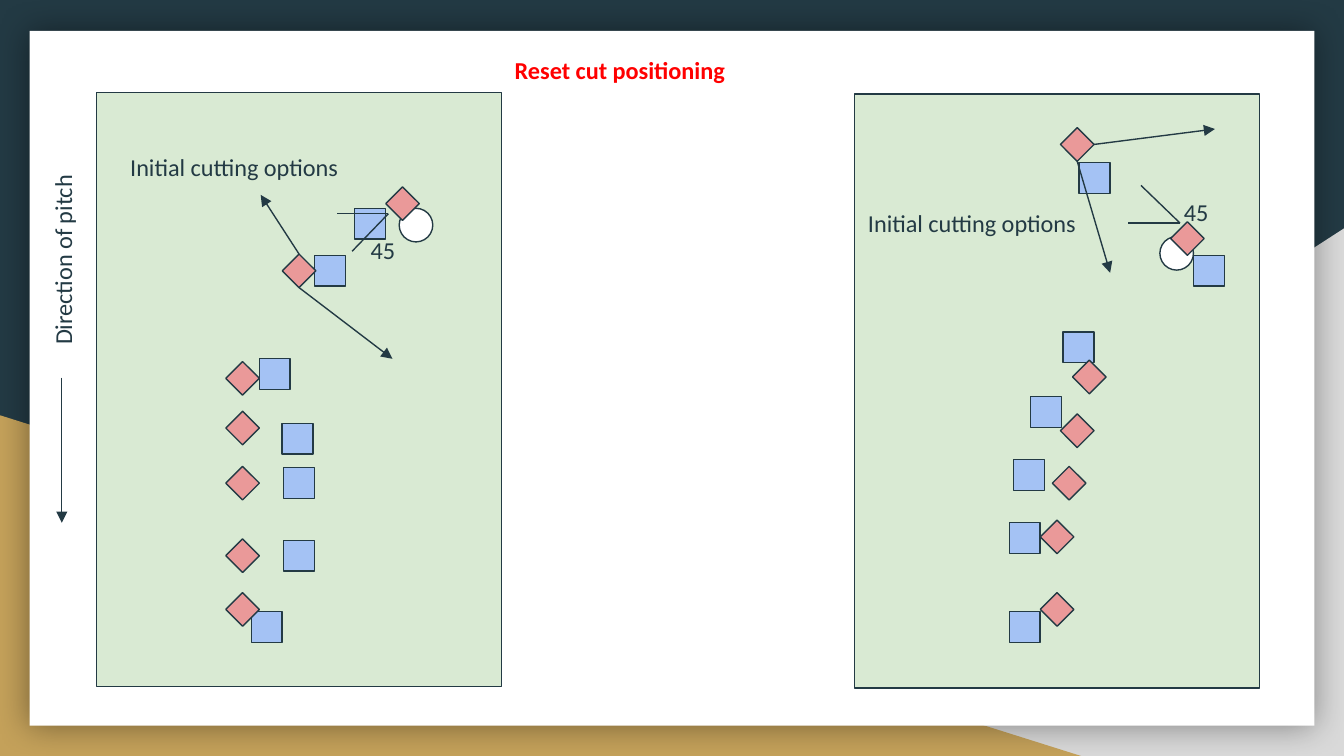
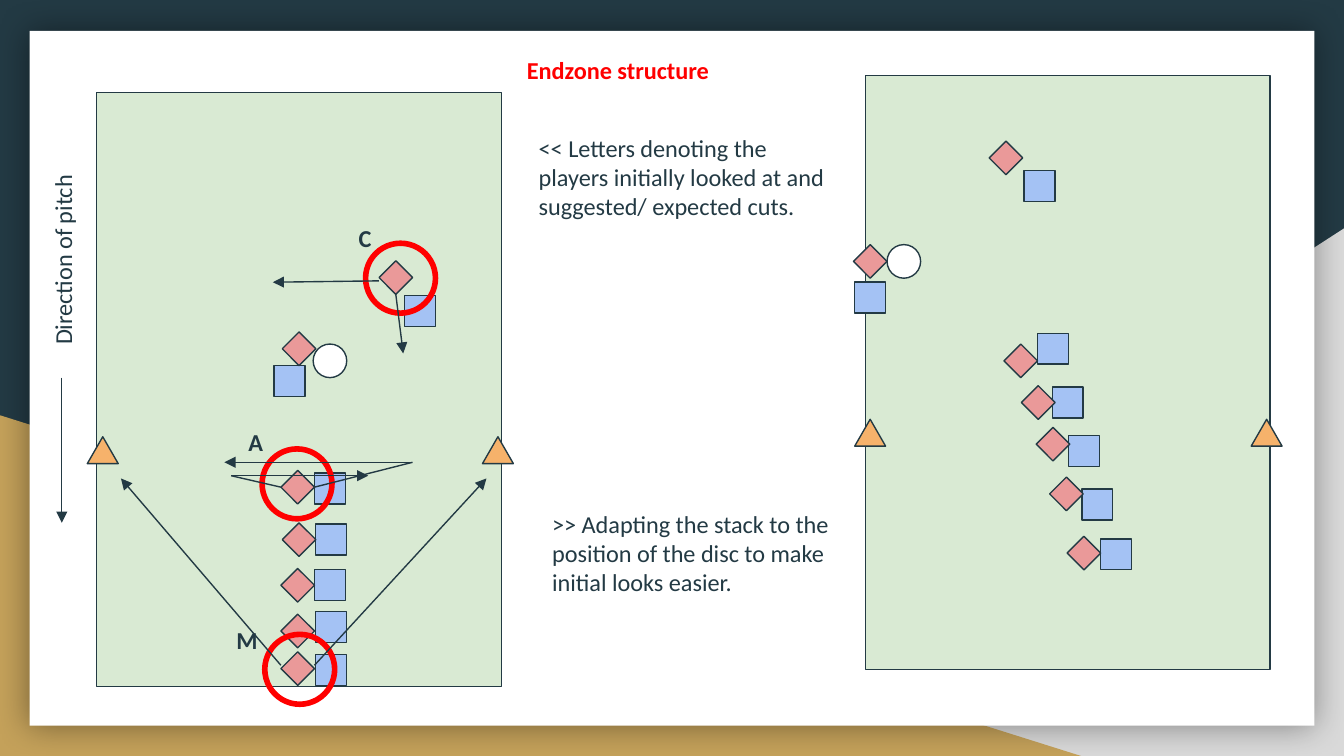
from lxml import etree
from pptx import Presentation
from pptx.dml.color import RGBColor
from pptx.enum.shapes import MSO_CONNECTOR, MSO_SHAPE
from pptx.enum.text import MSO_ANCHOR, MSO_AUTO_SIZE, PP_ALIGN
from pptx.oxml.ns import qn
from pptx.util import Emu, Pt

PX = 9144  # 100 px to the inch
SLIDE_WIDTH = Emu(1000 * PX)
SLIDE_HEIGHT = Emu(SLIDE_WIDTH * 9 // 16)
TITLE_ONLY = 5
TOP, LEFT, BOTTOM, RIGHT = range(4)

RECTANGLE = MSO_SHAPE.RECTANGLE
RIGHT_TRIANGLE = MSO_SHAPE.RIGHT_TRIANGLE
TRIANGLE = MSO_SHAPE.ISOSCELES_TRIANGLE
DIAMOND = MSO_SHAPE.DIAMOND
OVAL = MSO_SHAPE.OVAL
STRAIGHT = MSO_CONNECTOR.STRAIGHT

NAVY = RGBColor(0x23, 0x3A, 0x44)
GRAY = RGBColor(0xD9, 0xD9, 0xD9)
GOLD = RGBColor(0xC4, 0xA1, 0x5A)
WHITE = RGBColor(0xFF, 0xFF, 0xFF)
BLACK = RGBColor(0x00, 0x00, 0x00)
GREEN = RGBColor(0xD9, 0xEA, 0xD3)
PINK = RGBColor(0xEA, 0x99, 0x99)
BLUE = RGBColor(0xA4, 0xC2, 0xF4)
ORANGE = RGBColor(0xF6, 0xB2, 0x6B)
RED = RGBColor(0xFF, 0x00, 0x00)

PITCH_SIZE = (301, 442)
ATTACKER_SIZE = DISC_SIZE = (25, 25)
DEFENDER_SIZE = (23, 23)
CONE_SIZE = (23, 20)
RING_SIZE = (52, 52)
LETTER_SIZE = (29, 42)
ANGLE_SIZE = (39, 42)
OPTIONS_SIZE = (179, 42)
NOTE_SIZE = (235, 86)
TITLE_SIZE = (245, 42)

MARGIN = Emu(10 * PX)
FRAME_FORMAT = {
    "margin_left": MARGIN,
    "margin_right": MARGIN,
    "margin_top": MARGIN,
    "margin_bottom": MARGIN,
    "word_wrap": True,
    "auto_size": MSO_AUTO_SIZE.SHAPE_TO_FIT_TEXT,
    "vertical_anchor": MSO_ANCHOR.TOP,
}
FONT_FORMAT = {"name": "Calibri", "size": Pt(13)}
TITLE_FORMAT = {
    "alignment": PP_ALIGN.LEFT,
    "line_spacing": 1.15,
    "space_before": Pt(0),
    "space_after": Pt(12),
}


def to_emu(lengths):
    return [Emu(length * PX) for length in lengths]


def apply_format(target, values):
    for name, value in values.items():
        setattr(target, name, value)


def add_shape(slide, kind, position, size, fill=None, line=None, weight=0.75):
    shape = slide.shapes.add_shape(kind, *to_emu(position + size))
    shape.shadow.inherit = False
    if fill is None:
        shape.fill.background()
    else:
        shape.fill.solid()
        shape.fill.fore_color.rgb = fill
    if line is None:
        shape.line.fill.background()
    else:
        shape.line.color.rgb = line
        shape.line.width = Pt(weight)
    return shape


def add_line(slide, start, end, arrow=True):
    connector = slide.shapes.add_connector(STRAIGHT, *to_emu(start + end))
    connector.line.color.rgb = NAVY
    connector.line.width = Pt(0.75)
    if arrow:
        etree.SubElement(connector.get_or_add_ln(), qn("a:tailEnd"), type="triangle")
    etree.SubElement(connector._element.spPr, qn("a:effectLst"))
    return connector


def write_text(shape, text, color=NAVY, bold=False):
    frame = shape.text_frame
    apply_format(frame, FRAME_FORMAT)
    paragraph = frame.paragraphs[0]
    run = paragraph.add_run()
    run.text = text
    apply_format(run.font, FONT_FORMAT)
    run.font.bold = bold
    run.font.color.rgb = color
    return paragraph


def add_label(slide, text, position, size, bold=False, rotation=0):
    label = slide.shapes.add_textbox(*to_emu(position + size))
    label.rotation = rotation
    write_text(label, text, bold=bold)


def set_title(slide, text, left):
    title = slide.shapes.title
    title.left, title.top, title.width, title.height = to_emu((left, 28) + TITLE_SIZE)
    apply_format(write_text(title, text, RED, bold=True), TITLE_FORMAT)


def add_soft_shadow(shape):
    effects = shape._element.spPr.find(qn("a:effectLst"))
    shadow = etree.SubElement(effects, qn("a:outerShdw"), blurRad=str(Pt(18)),
                              dist="0", dir="0", algn="ctr", rotWithShape="0")
    color = etree.SubElement(shadow, qn("a:srgbClr"), val=str(BLACK))
    etree.SubElement(color, qn("a:alpha"), val="40000")


def build_backdrop(slide):
    """Draw the shared backdrop and move it into the layout of the slide."""
    layout = slide.slide_layout
    layout.background.fill.solid()
    layout.background.fill.fore_color.rgb = NAVY
    gray_corner = add_shape(slide, RIGHT_TRIANGLE, (392, 170), (608, 393), GRAY)
    gray_corner._element.spPr.xfrm.set("flipH", "1")
    gold_corner = add_shape(slide, RIGHT_TRIANGLE, (0, 309), (806, 254), GOLD)
    card = add_shape(slide, RECTANGLE, (22, 23), (956, 517), WHITE)
    add_soft_shadow(card)
    for index, shape in enumerate((gray_corner, gold_corner, card)):
        shape._element.nvSpPr.cNvPr.set("id", str(20 + index))
        layout.shapes._spTree.insert(2 + index, shape._element)


def add_direction(slide):
    add_label(slide, "Direction of pitch", (-31, 168), (155, 42), rotation=270)
    add_line(slide, (46, 281), (46, 389))


def add_pitch(slide, position, disc, defenders, attackers):
    """Draw a pitch with its disc and players, and return the attackers."""
    add_shape(slide, RECTANGLE, position, PITCH_SIZE, GREEN, NAVY)
    add_shape(slide, OVAL, disc, DISC_SIZE, WHITE, NAVY)
    for defender in defenders:
        add_shape(slide, RECTANGLE, defender, DEFENDER_SIZE, BLUE, NAVY)
    return [add_shape(slide, DIAMOND, attacker, ATTACKER_SIZE, PINK, NAVY)
            for attacker in attackers]


def add_cones(slide, top, *lefts):
    for left in lefts:
        add_shape(slide, TRIANGLE, (left, top), CONE_SIZE, ORANGE, NAVY)


def add_marked_player(slide, letter, letter_position, ring_position):
    add_shape(slide, OVAL, ring_position, RING_SIZE, line=RED, weight=3)
    add_label(slide, letter, letter_position, LETTER_SIZE, bold=True)


def add_cutting_options(slide, label_position, cutter, options):
    """Label the cuts; each option is the side it leaves from, start and end."""
    add_label(slide, "Initial cutting options", label_position, OPTIONS_SIZE)
    for side, start, end in options:
        add_line(slide, start, end).begin_connect(cutter, side)


def add_angle(slide, label_position, corner, *ends):
    for end in ends:
        add_line(slide, corner, end, arrow=False)
    add_label(slide, "45", label_position, ANGLE_SIZE)


def build_reset_slide(slide):
    set_title(slide, "Reset cut positioning", 373)
    add_direction(slide)

    attackers = add_pitch(
        slide, (72, 69), disc=(297, 155),
        defenders=[(264, 155), (234, 190), (193, 267), (210, 315),
                   (211, 348), (211, 402), (187, 455)],
        attackers=[(287, 139), (210, 189)]
        + [(168, top) for top in (269, 306, 347, 401, 441)])
    add_cutting_options(slide, (87, 103), attackers[1],
                        [(BOTTOM, (223, 214), (292, 267)),
                         (TOP, (223, 189), (194, 145))])
    add_angle(slide, (266, 165), (289, 159), (251, 159), (262, 187))

    attackers = add_pitch(
        slide, (636, 70), disc=(863, 176),
        defenders=[(888, 190), (803, 121), (791, 247), (767, 295),
                   (754, 342), (751, 389), (751, 455)],
        attackers=[(871, 165), (789, 95), (798, 268), (789, 308),
                   (783, 347), (774, 387), (774, 441)])
    add_cutting_options(slide, (636, 145), attackers[1],
                        [(BOTTOM, (802, 121), (826, 203)),
                         (RIGHT, (815, 108), (904, 96))])
    add_angle(slide, (871, 137), (878, 166), (839, 166), (849, 138))


def build_endzone_slide(slide):
    set_title(slide, "Endzone structure", 382)
    add_direction(slide)

    attackers = add_pitch(
        slide, (72, 69), disc=(233, 256),
        defenders=[(204, 272), (301, 220), (234, 352), (235, 390),
                   (234, 424), (235, 455), (235, 487)],
        attackers=[(210, 247), (282, 194), (209, 350), (210, 389),
                   (209, 423), (209, 457), (209, 485)])
    _, cutter_c, cutter_a, *_ = attackers
    add_cones(slide, 325, 65, 359)
    add_marked_player(slide, "C", (257, 156), (272, 181))
    add_marked_player(slide, "A", (175, 308), (195, 334))
    add_marked_player(slide, "M", (166, 455), (197, 472))

    for start, end in [((234, 495), (362, 356)), ((209, 495), (90, 356)),
                       ((306, 344), (167, 344)), ((172, 354), (274, 354)),
                       ((282, 209), (203, 210))]:
        add_line(slide, start, end)
    add_line(slide, (294, 220), (300, 263)).begin_connect(cutter_c, BOTTOM)
    for side, start, end in [(RIGHT, (234, 362), (307, 344)),
                             (LEFT, (209, 364), (172, 354))]:
        add_line(slide, start, end, arrow=False).begin_connect(cutter_a, side)

    add_pitch(
        slide, (644, 56), disc=(660, 182),
        defenders=[(636, 210), (762, 127), (772, 248), (783, 288),
                   (795, 324), (805, 364), (819, 401)],
        attackers=[(635, 182), (736, 105), (747, 256), (760, 287),
                   (771, 318), (781, 355), (794, 399)])
    add_cones(slide, 312, 636, 931)

    add_label(slide, "<< Letters denoting the players initially looked at and "
              "suggested/ expected cuts.", (391, 89), NOTE_SIZE)
    add_label(slide, ">> Adapting the stack to the position of the disc to make "
              "initial looks easier.", (401, 369), NOTE_SIZE)


def main():
    presentation = Presentation()
    presentation.slide_width = SLIDE_WIDTH
    presentation.slide_height = SLIDE_HEIGHT
    layout = presentation.slide_layouts[TITLE_ONLY]
    reset_slide = presentation.slides.add_slide(layout)
    build_backdrop(reset_slide)
    build_reset_slide(reset_slide)
    build_endzone_slide(presentation.slides.add_slide(layout))
    presentation.save("out.pptx")


if __name__ == "__main__":
    main()
